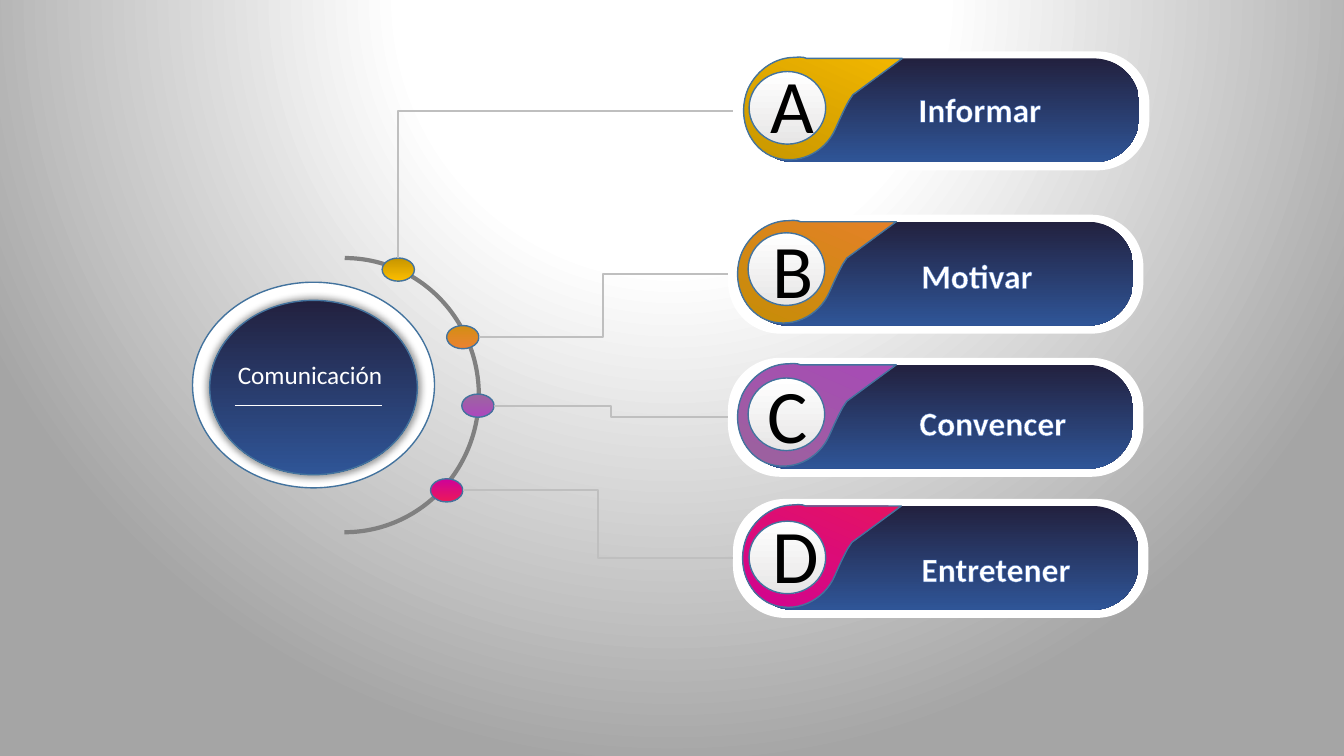
from dataclasses import dataclass
from math import cos, radians, sin

from pptx import Presentation
from pptx.dml.color import RGBColor
from pptx.enum.shapes import MSO_CONNECTOR, MSO_SHAPE
from pptx.enum.text import MSO_AUTO_SIZE, PP_ALIGN
from pptx.oxml import parse_xml
from pptx.oxml.ns import nsdecls, qn
from pptx.util import Inches, Pt

OVAL, PILL, ARC = MSO_SHAPE.OVAL, MSO_SHAPE.ROUNDED_RECTANGLE, MSO_SHAPE.ARC
STRAIGHT, ELBOW = MSO_CONNECTOR.STRAIGHT, MSO_CONNECTOR.ELBOW
LEFT, CENTER = PP_ALIGN.LEFT, PP_ALIGN.CENTER
FIT_SHAPE = MSO_AUTO_SIZE.SHAPE_TO_FIT_TEXT
LEFT_SIDE = 1


@dataclass(frozen=True)
class Theme:
    font: str = "Calibri"
    letter: int = 54
    label: int = 24
    hub: int = 18
    white: str = "FFFFFF"
    black: str = "000000"
    backdrop: str = "A5A5A5"
    outline: str = "43739E"
    label_outline: str = "4472C4"
    arc: str = "808080"
    link: str = "BFBFBF"
    navy: tuple = ("22213F", "2F5597")
    disc: tuple = ("FFFFFF", "E7E6E6")


THEME = Theme()

DROP_BOX = (0.16, -0.24, 1.28, 1.41)
DROP_TURN = 23.7
DROP_START = (0.60, 0.06)
DROP_PATH = [
    [(0.63, 0.05), (0.67, 0.06), (0.69, 0.06)],
    [(0.72, 0.07)], [(1.67, 0.07)], [(1.18, 0.43)], [(1.14, 0.49)],
    [(1.09, 0.58), (1.05, 0.67), (1.01, 0.76)],
    [(0.90, 1.02), (0.61, 1.14), (0.37, 1.04)],
    [(0.13, 0.93), (0.03, 0.63), (0.14, 0.37)],
    [(0.23, 0.18), (0.41, 0.06), (0.60, 0.06)],
]

ROWS = [
    dict(letter="A", label="Informar", pill=(7.28, 0.51), disc=(7.43, 0.71),
         letter_at=(7.54, 0.53), label_at=(9.01, 0.83), label_w=1.65, dot=(3.79, 2.56),
         drop_fill=("FFC000", "BF9000"), dot_fill=("C69500", "FCBE00")),
    dict(letter="B", label="Motivar", pill=(7.22, 2.13), disc=(7.42, 2.31),
         letter_at=(7.56, 2.16), label_at=(9.04, 2.48), label_w=1.65, dot=(4.43, 3.23),
         drop_fill=("ED7D31", "BF9000"), dot_fill=("D38E15", "EC8230")),
    dict(letter="C", label="Convencer", pill=(7.22, 3.55), disc=(7.42, 3.75),
         letter_at=(7.51, 3.60), label_at=(9.02, 3.94), label_w=1.74, dot=(4.58, 3.91),
         drop_fill=("AC43BD", "986898"), dot_fill=("9B679F", "AC47BD")),
    dict(letter="D", label="Entretener", pill=(7.27, 4.95), disc=(7.43, 5.17),
         letter_at=(7.56, 4.99), label_at=(9.04, 5.39), label_w=1.74, dot=(4.27, 4.75),
         drop_fill=("EC1855", "CC0099"), dot_fill=("CE0299", "EC185A")),
]
PILL_W, PILL_H, PILL_ROUND = 4.12, 1.18, 0.438
DOT_W, DOT_H = 0.32, 0.23


def rgb(color):
    return RGBColor.from_string(color)


def drop_point(point):
    left, top, w, h = DROP_BOX
    dx, dy = point[0] - left - w / 2, point[1] - top - h / 2
    c, s = cos(radians(DROP_TURN)), sin(radians(DROP_TURN))
    return Inches(w / 2 + dx * c + dy * s), Inches(h / 2 - dx * s + dy * c)


def write(tf, text, size, color, bold=False, align=LEFT, outline=None):
    p = tf.paragraphs[0]
    p.alignment = align
    r = p.add_run()
    r.text = text
    r.font.name = THEME.font
    r.font.size = Pt(size)
    r.font.bold = bold
    r.font.color.rgb = rgb(color)
    if outline:
        r.font._element.insert(0, parse_xml(
            f'<a:ln {nsdecls("a")} w="10160"><a:solidFill>'
            f'<a:srgbClr val="{outline}"/></a:solidFill></a:ln>'))


class Deck:
    def __init__(self, theme):
        self.theme = theme
        self.prs = Presentation()
        self.prs.slide_width, self.prs.slide_height = Inches(13.33), Inches(7.5)
        self.s = self.prs.slides.add_slide(self.prs.slide_layouts[6])

    def background(self, inner, outer):
        self.s.background.fill.gradient()
        old = self.s._element.find(".//" + qn("a:gradFill"))
        stops = "".join(f'<a:gs pos="{pos}"><a:srgbClr val="{color}"/></a:gs>'
                        for pos, color in ((0, inner), (35000, inner), (100000, outer)))
        old.getparent().replace(old, parse_xml(
            f'<a:gradFill {nsdecls("a")} rotWithShape="1"><a:gsLst>{stops}</a:gsLst>'
            '<a:path path="circle"><a:fillToRect l="50000" t="-80000" r="50000" '
            'b="180000"/></a:path></a:gradFill>'))

    def paint(self, sp, fill=None, line=None, width=1):
        sp.shadow.inherit = False
        if fill is None:
            sp.fill.background()
        elif isinstance(fill, str):
            sp.fill.solid()
            sp.fill.fore_color.rgb = rgb(fill)
        else:
            sp.fill.gradient()
            sp.fill.gradient_angle = 270
            for stop, color in zip(sp.fill.gradient_stops, fill):
                stop.color.rgb = rgb(color)
        if line:
            sp.line.color.rgb = rgb(line)
            sp.line.width = Pt(width)
        else:
            sp.line.fill.background()
        return sp

    def shape(self, kind, x, y, w, h, adjust=(), **style):
        sp = self.s.shapes.add_shape(kind, Inches(x), Inches(y), Inches(w), Inches(h))
        for i, value in enumerate(adjust):
            sp.adjustments[i] = value
        return self.paint(sp, **style)

    def drop(self, x, y, fill):
        left, top, w, h = DROP_BOX
        builder = self.s.shapes.build_freeform(*drop_point(DROP_START))
        builder.add_line_segments([drop_point(part[-1]) for part in DROP_PATH])
        sp = builder.convert_to_shape()
        sp.left, sp.top, sp.width, sp.height = (Inches(v) for v in (x + left, y + top, w, h))
        sp.rotation = DROP_TURN
        parts = [("moveTo", [DROP_START])]
        parts += [("cubicBezTo" if len(part) == 3 else "lnTo", part) for part in DROP_PATH]
        body = ""
        for tag, points in parts:
            pts = "".join('<a:pt x="{}" y="{}"/>'.format(*drop_point(pt)) for pt in points)
            body += f"<a:{tag}>{pts}</a:{tag}>"
        old = sp._element.find(".//" + qn("a:pathLst"))
        old.getparent().replace(old, parse_xml(
            f'<a:pathLst {nsdecls("a")}><a:path w="{Inches(w)}" h="{Inches(h)}">'
            f'{body}<a:close/></a:path></a:pathLst>'))
        self.paint(sp, fill, self.theme.outline)

    def glow(self, sp):
        sp._element.spPr.find(qn("a:effectLst")).append(parse_xml(
            f'<a:outerShdw {nsdecls("a")} blurRad="63500" sx="102000" sy="102000" '
            f'algn="ctr" rotWithShape="0"><a:srgbClr val="{self.theme.black}">'
            '<a:alpha val="40000"/></a:srgbClr></a:outerShdw>'))

    def connector(self, kind, start, end, color, width):
        cx = self.s.shapes.add_connector(kind, *(Inches(v) for v in (*start, *end)))
        cx.line.color.rgb = rgb(color)
        cx.line.width = Pt(width)
        cx._element.spPr.append(parse_xml(f'<a:effectLst {nsdecls("a")}/>'))
        return cx

    def text(self, text, x, y, w, h, **style):
        tf = self.s.shapes.add_textbox(Inches(x), Inches(y), Inches(w), Inches(h)).text_frame
        tf.word_wrap = True
        tf.auto_size = FIT_SHAPE
        write(tf, text, **style)


def main():
    deck = Deck(THEME)
    deck.background(THEME.white, THEME.backdrop)
    deck.shape(OVAL, 1.91, 2.8, 2.4, 2.04, fill=THEME.white, line=THEME.outline)
    deck.glow(deck.shape(OVAL, 2.08, 2.98, 2.06, 1.73, fill=THEME.navy, line=THEME.outline))
    deck.shape(ARC, 2.09, 2.56, 2.66, 2.72, adjust=(162, 54.11), line=THEME.arc, width=3)

    pills = []
    for row in ROWS:
        x, y = row["pill"]
        pills.append(deck.shape(PILL, x, y, PILL_W, PILL_H, (PILL_ROUND,), fill=THEME.white))
        deck.shape(PILL, x + 0.15, y + 0.07, 3.87, 1.03, (PILL_ROUND,), fill=THEME.navy)
        deck.drop(x, y, row["drop_fill"])
    for row in ROWS:
        deck.shape(OVAL, *row["disc"], 0.76, 0.72, fill=THEME.disc, line=THEME.outline)
    for row in ROWS:
        deck.shape(OVAL, *row["dot"], DOT_W, DOT_H, fill=row["dot_fill"], line=THEME.outline)

    corner = deck.connector(ELBOW, (6.34, 3.5), (4.88, 0.17), THEME.link, 1.5)
    corner._element.spPr.find(qn("a:prstGeom")).set("prst", "bentConnector2")
    corner._element.spPr.find(qn("a:xfrm")).set("rot", "5400000")
    for row, pill in zip(ROWS[1:], pills[1:]):
        (x, y), (dot_x, dot_y) = row["pill"], row["dot"]
        link = deck.connector(ELBOW, (dot_x + DOT_W, dot_y + DOT_H / 2), (x, y + PILL_H / 2),
                              THEME.link, 1.5)
        link.end_connect(pill, LEFT_SIDE)

    for row in ROWS:
        deck.text(row["letter"], *row["letter_at"], 0.53, 1.01,
                  size=THEME.letter, color=THEME.black, align=CENTER)
    deck.text("Comunicación", 2.26, 3.52, 1.72, 0.4, size=THEME.hub, color=THEME.white)
    deck.connector(STRAIGHT, (2.33, 4.02), (3.79, 4.02), THEME.white, 0.5)
    for row in ROWS:
        deck.text(row["label"], *row["label_at"], row["label_w"], 0.5, size=THEME.label,
                  color=THEME.white, bold=True, outline=THEME.label_outline)
    deck.prs.save("out.pptx")


if __name__ == "__main__":
    main()
